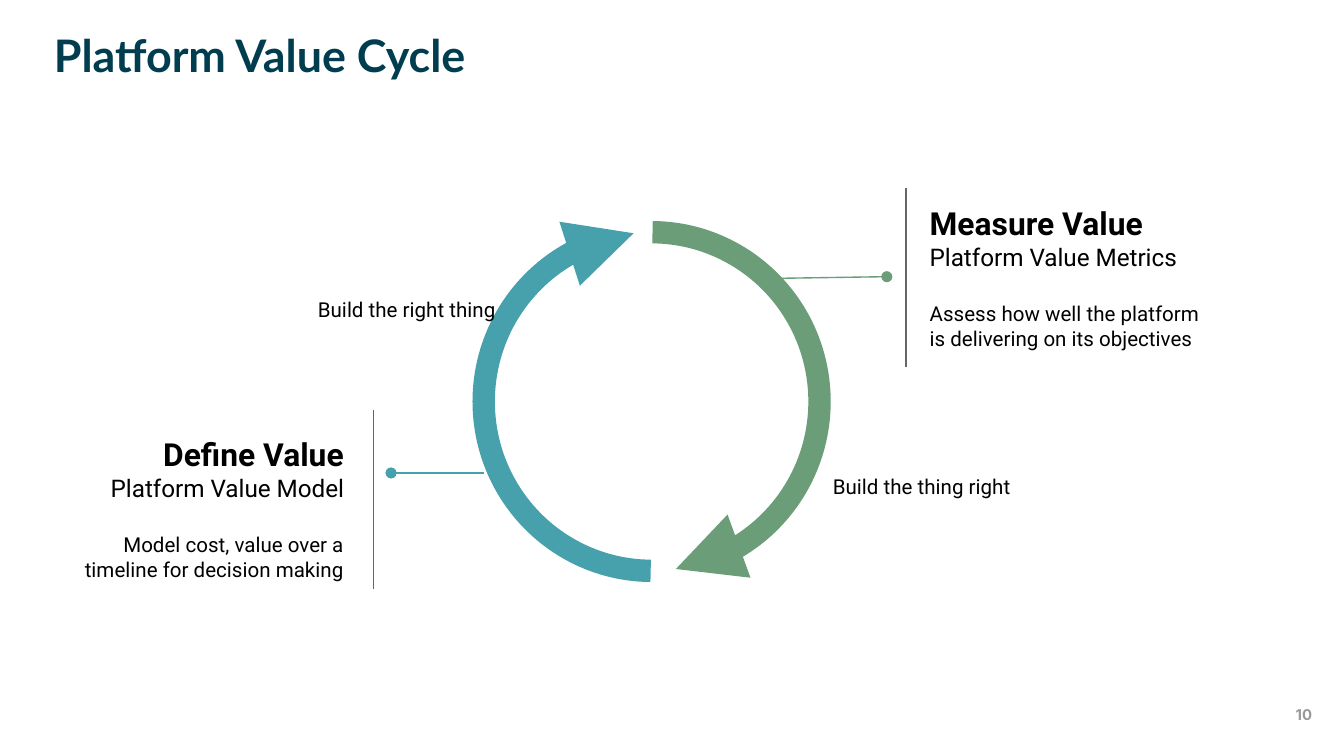
from dataclasses import dataclass

from lxml import etree
from pptx import Presentation
from pptx.dml.color import RGBColor
from pptx.enum.shapes import MSO_CONNECTOR, MSO_SHAPE
from pptx.enum.text import MSO_ANCHOR, MSO_AUTO_SIZE, PP_ALIGN
from pptx.oxml.ns import qn
from pptx.util import Cm, Pt

LEFT, CENTER, RIGHT = PP_ALIGN.LEFT, PP_ALIGN.CENTER, PP_ALIGN.RIGHT
TOP, MIDDLE = MSO_ANCHOR.TOP, MSO_ANCHOR.MIDDLE
ARC, STRAIGHT = MSO_SHAPE.ARC, MSO_CONNECTOR.STRAIGHT

COLORS = {
    "title": "003D4F",
    "text": "000000",
    "number": "999999",
    "divider": "666666",
    "measure": "6B9E78",
    "define": "47A1AD",
}
TEXT_WIDTH = 5.89
STAGE_HEIGHT = 3.58
LABEL_HEIGHT = 2.18
DIVIDER_HEIGHT = 3.38
PADDING = 0.25


@dataclass
class Stage:
    color: str
    heading: str
    subtitle: str
    detail: str
    left: float
    top: float
    align: PP_ALIGN
    divider: tuple[float, float]
    leader: tuple[float, float, float, float]
    rotation: int
    arc_end: float


@dataclass
class Label:
    text: str
    left: float
    top: float
    align: PP_ALIGN


STAGES = [
    Stage("measure", "Measure Value", "Platform Value Metrics",
          "Assess how well the platform is delivering on its objectives",
          17.32, 3.45, LEFT, (17.12, 3.56), (14.76, 5.26, 16.76, 5.23), 0, 49.04),
    Stage("define", "Define Value", "Platform Value Model",
          "Model cost, value over a timeline for decision making",
          0.86, 7.82, RIGHT, (7.06, 7.75), (9.14, 8.94, 7.39, 8.94), 180, 50.32),
]
LABELS = [
    Label("Build the right thing", 3.73, 4.75, RIGHT),
    Label("Build the thing right", 15.49, 8.1, LEFT),
]


def rgb(name: str) -> RGBColor:
    return RGBColor.from_string(COLORS[name])


def set_frame(box, anchor=MIDDLE, padding=PADDING):
    frame = box.text_frame
    frame.word_wrap = True
    frame.auto_size = MSO_AUTO_SIZE.NONE
    frame.vertical_anchor = anchor
    frame.margin_left = frame.margin_right = Cm(padding)
    frame.margin_top = frame.margin_bottom = Cm(padding)
    return frame


def add_box(page, left: float, top: float, width: float, height: float, padding=PADDING):
    box = page.shapes.add_textbox(Cm(left), Cm(top), Cm(width), Cm(height))
    return set_frame(box, padding=padding)


def write(para, text: str, *, size, font="Roboto", color="text", bold=False,
          align=LEFT, before=0, after=0) -> None:
    para.alignment = align
    para.space_before, para.space_after = Pt(before), Pt(after)
    span = para.add_run()
    span.text = text
    span.font.name = font
    span.font.size = Pt(size)
    span.font.bold = bold
    span.font.color.rgb = rgb(color)


def style_line(shape, color: str, width: float, tail: str = "") -> None:
    shape.line.color.rgb = rgb(color)
    shape.line.width = Pt(width)
    if tail:
        outline = shape._element.spPr.find(qn("a:ln"))
        etree.SubElement(outline, qn("a:tailEnd"), type=tail)


def draw_line(page, x1: float, y1: float, x2: float, y2: float,
              color: str, tail: str = "") -> None:
    line = page.shapes.add_connector(STRAIGHT, Cm(x1), Cm(y1), Cm(x2), Cm(y2))
    style_line(line, color, 0.75, tail)
    etree.SubElement(line._element.spPr, qn("a:effectLst"))


def draw_arc(page, stage: Stage) -> None:
    arc = page.shapes.add_shape(ARC, Cm(9.14), Cm(4.39), Cm(6.35), Cm(6.4))
    arc.adjustments[0] = 162.2
    arc.adjustments[1] = stage.arc_end
    arc.rotation = stage.rotation
    arc.shadow.inherit = False
    arc.fill.background()
    style_line(arc, stage.color, 12, "triangle")


def draw_stage(page, stage: Stage) -> None:
    draw_line(page, *stage.leader, stage.color, "oval")
    x, y = stage.divider
    draw_line(page, x, y, x, y + DIVIDER_HEIGHT, "divider")
    frame = add_box(page, stage.left, stage.top, TEXT_WIDTH, STAGE_HEIGHT)
    write(frame.paragraphs[0], stage.heading, size=17, bold=True, align=stage.align)
    write(frame.add_paragraph(), stage.subtitle, size=13, align=stage.align)
    write(frame.add_paragraph(), stage.detail, size=11, align=stage.align,
          before=16, after=16)


def draw_label(page, label: Label) -> None:
    frame = add_box(page, label.left, label.top, TEXT_WIDTH, LABEL_HEIGHT)
    write(frame.paragraphs[0], label.text, size=11, align=label.align, after=16)


def draw_title(page, text: str) -> None:
    title = page.shapes.title
    title.left, title.top = Cm(1.02), Cm(0.53)
    title.width, title.height = Cm(23.34), Cm(1.7)
    frame = set_frame(title, anchor=TOP, padding=0)
    write(frame.paragraphs[0], text, size=24, font="Lato", color="title", bold=True)


def main() -> None:
    deck = Presentation()
    deck.slide_width, deck.slide_height = Cm(25.4), Cm(14.29)
    page = deck.slides.add_slide(deck.slide_layouts[5])
    draw_title(page, "Platform Value Cycle")
    for stage in STAGES:
        draw_arc(page, stage)
    for stage in STAGES:
        draw_stage(page, stage)
    for label in LABELS:
        draw_label(page, label)
    number = add_box(page, 24.38, 13.26, 0.53, 0.51, padding=0)
    write(number.paragraphs[0], "10", size=8, font="Inter", color="number",
          bold=True, align=CENTER)
    deck.save("out.pptx")


if __name__ == "__main__":
    main()
